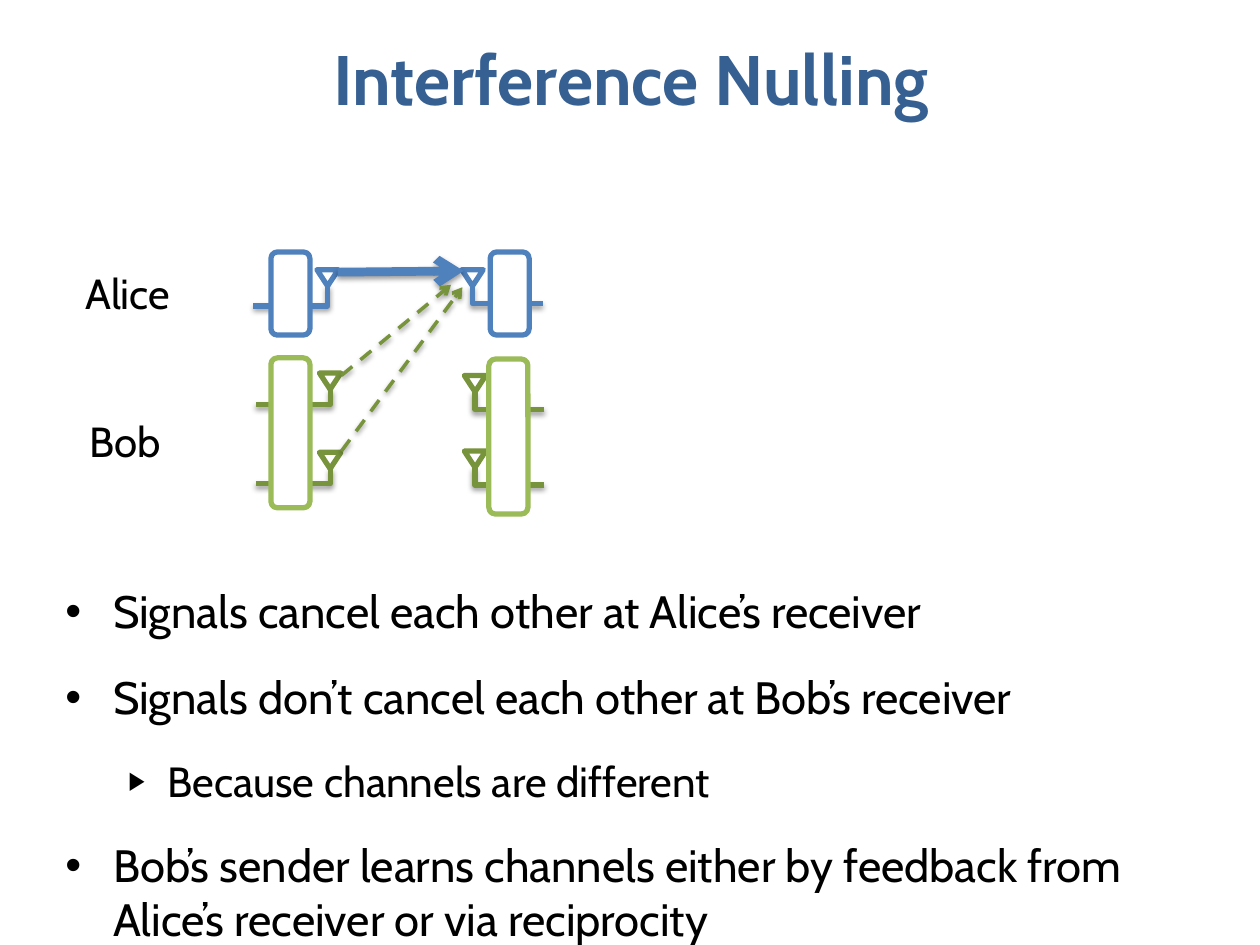
from lxml import etree
from pptx import Presentation
from pptx.dml.color import RGBColor
from pptx.enum.dml import MSO_LINE
from pptx.enum.shapes import MSO_CONNECTOR, MSO_SHAPE
from pptx.enum.text import MSO_ANCHOR, PP_ALIGN
from pptx.oxml.ns import qn
from pptx.util import Inches, Pt

STRAIGHT, ELBOW = MSO_CONNECTOR.STRAIGHT, MSO_CONNECTOR.ELBOW
ROUND_RECT, TRIANGLE = MSO_SHAPE.ROUNDED_RECTANGLE, MSO_SHAPE.ISOSCELES_TRIANGLE
DASH = MSO_LINE.DASH
CENTER, LEFT = PP_ALIGN.CENTER, PP_ALIGN.LEFT
TOP, MIDDLE = MSO_ANCHOR.TOP, MSO_ANCHOR.MIDDLE

COLORS = {
    "title": "376092",
    "text": "000000",
    "white": "FFFFFF",
    "alice": "4F81BD",
    "bob": "9BBB59",
    "bob_radio": "77933C",
}


def add_xml(parent, tag, **attributes):
    return etree.SubElement(parent, qn(tag), attributes)


class SlideBuilder:
    FONT = "Cabin"
    OUTLINE = 3
    ANTENNA_W, ANTENNA_H = 0.17, 0.13
    # Bullet character, size in percent, left margin, hanging indent, text size
    LEVELS = [("•", 100, 0.38, 0.38, 25.9), ("▶", 60, 0.81, 0.31, 24.1)]

    def __init__(self, slide):
        self.slide = slide

    def color(self, name):
        return RGBColor.from_string(COLORS[name])

    def run(self, paragraph, text, size, color="text", bold=False):
        run = paragraph.add_run()
        run.text = text
        run.font.name = self.FONT
        run.font.size = Pt(size)
        run.font.bold = bold
        run.font.color.rgb = self.color(color)

    def frame(self, x, y, w, h, anchor=TOP, wrap=True):
        box = self.slide.shapes.add_textbox(Inches(x), Inches(y), Inches(w), Inches(h))
        box.text_frame.word_wrap = wrap
        box.text_frame.vertical_anchor = anchor
        return box.text_frame

    def text(self, x, y, w, h, text, size, color="text", bold=False,
             align=LEFT, anchor=TOP, wrap=True):
        paragraph = self.frame(x, y, w, h, anchor, wrap).paragraphs[0]
        paragraph.alignment = align
        self.run(paragraph, text, size, color, bold)

    def bullets(self, x, y, w, h, items):
        frame = self.frame(x, y, w, h)
        for i, (level, text) in enumerate(items):
            paragraph = frame.add_paragraph() if i else frame.paragraphs[0]
            char, percent, margin, hanging, size = self.LEVELS[level]
            props = paragraph._p.get_or_add_pPr()
            props.set("marL", str(Inches(margin)))
            props.set("indent", str(-Inches(hanging)))
            add_xml(props, "a:buSzPct", val=str(percent * 1000))
            add_xml(props, "a:buFont", typeface="Arial")
            add_xml(props, "a:buChar", char=char)
            paragraph.level = level
            paragraph.space_before = Pt(18 if i else 0)
            self.run(paragraph, text, size)

    def outlined(self, kind, x, y, w, h, color):
        shape = self.slide.shapes.add_shape(
            kind, Inches(x), Inches(y), Inches(w), Inches(h))
        shape.shadow.inherit = False
        shape.fill.solid()
        shape.fill.fore_color.rgb = self.color("white")
        shape.line.color.rgb = self.color(color)
        shape.line.width = Pt(self.OUTLINE)
        return shape

    def line(self, start, end, color, width, kind=STRAIGHT, dash=None, arrow=False):
        line = self.slide.shapes.add_connector(
            kind, *(Inches(value) for value in (*start, *end)))
        line.line.color.rgb = self.color(color)
        line.line.width = Pt(width)
        if dash:
            line.line.dash_style = dash
        if arrow:
            add_xml(line.line._get_or_add_ln(), "a:tailEnd", type="arrow")
        # Soft shadow straight below the line
        effects = add_xml(line._element.spPr, "a:effectLst")
        shadow = add_xml(effects, "a:outerShdw", blurRad=str(Pt(3.1)),
                         dist=str(Pt(1.6)), dir="5400000", rotWithShape="0")
        black = add_xml(shadow, "a:srgbClr", val="000000")
        add_xml(black, "a:alpha", val="38000")
        return line

    def antenna(self, wire_start, mast_top, color):
        """A wire that turns up once into a mast, with a triangle on top."""
        wire = self.line(wire_start, mast_top, color, self.OUTLINE, ELBOW)
        wire._element.spPr.find(qn("a:prstGeom")).set("prst", "bentConnector2")
        x, y = mast_top
        horn = self.outlined(TRIANGLE, x - self.ANTENNA_W / 2, y - self.ANTENNA_H,
                             self.ANTENNA_W, self.ANTENNA_H, color)
        horn.rotation = 180


def main():
    prs = Presentation()
    prs.slide_width, prs.slide_height = Inches(10), Inches(7.5)
    builder = SlideBuilder(prs.slides.add_slide(prs.slide_layouts[6]))

    # Title and explanation
    builder.text(0.02, 0, 9.98, 1.23, "Interference Nulling", 40, "title",
                 bold=True, align=CENTER, anchor=MIDDLE)
    builder.bullets(0.42, 4.58, 9.5, 2.75, [
        (0, "Signals cancel each other at Alice’s receiver"),
        (0, "Signals don’t cancel each other at Bob’s receiver"),
        (1, "Because channels are different"),
        (0, "Bob’s sender learns channels either by feedback from "
            "Alice’s receiver or via reciprocity"),
    ])

    # Bob's antennas: two at the sender, two at the receiver
    for sender_y, receiver_y in [(3.21, 3.25), (3.84, 3.85)]:
        builder.antenna((2.03, sender_y), (2.62, sender_y - 0.12), "bob_radio")
        builder.antenna((4.32, receiver_y), (3.77, receiver_y - 0.14), "bob_radio")

    # Alice's antennas: one on each side
    builder.antenna((2.01, 2.43), (2.6, 2.27), "alice")
    builder.antenna((4.31, 2.41), (3.75, 2.27), "alice")

    # Sender and receiver boxes
    for x, y, height, owner in [(2.15, 2.84, 1.19, "bob"), (3.88, 2.85, 1.23, "bob"),
                                (2.15, 2, 0.66, "alice"), (3.89, 2, 0.66, "alice")]:
        builder.outlined(ROUND_RECT, x, y, 0.31, height, owner)

    # Alice's signal, and Bob's signals that cancel at her receiver
    builder.line((2.68, 2.16), (3.68, 2.15), "alice", 5, arrow=True)
    for start, end in [((2.71, 2.98), (3.58, 2.26)), ((2.71, 3.58), (3.67, 2.28))]:
        builder.line(start, end, "bob_radio", 2, dash=DASH, arrow=True)

    # Names
    builder.text(0.58, 2.07, 1.42, 0.61, "Alice", 24, wrap=False)
    builder.text(0.61, 3.25, 1.14, 0.61, "Bob", 24, wrap=False)

    prs.save("out.pptx")


if __name__ == "__main__":
    main()
